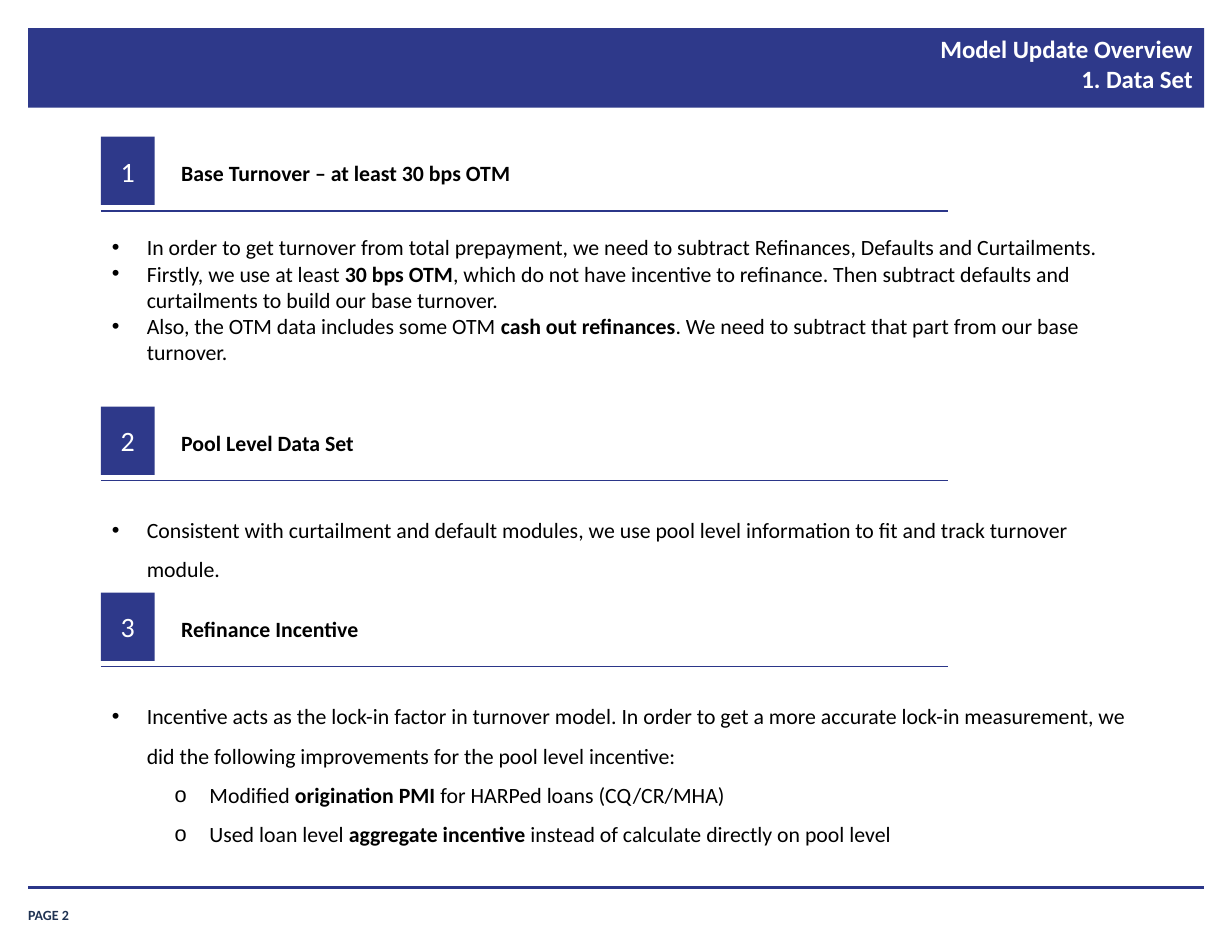
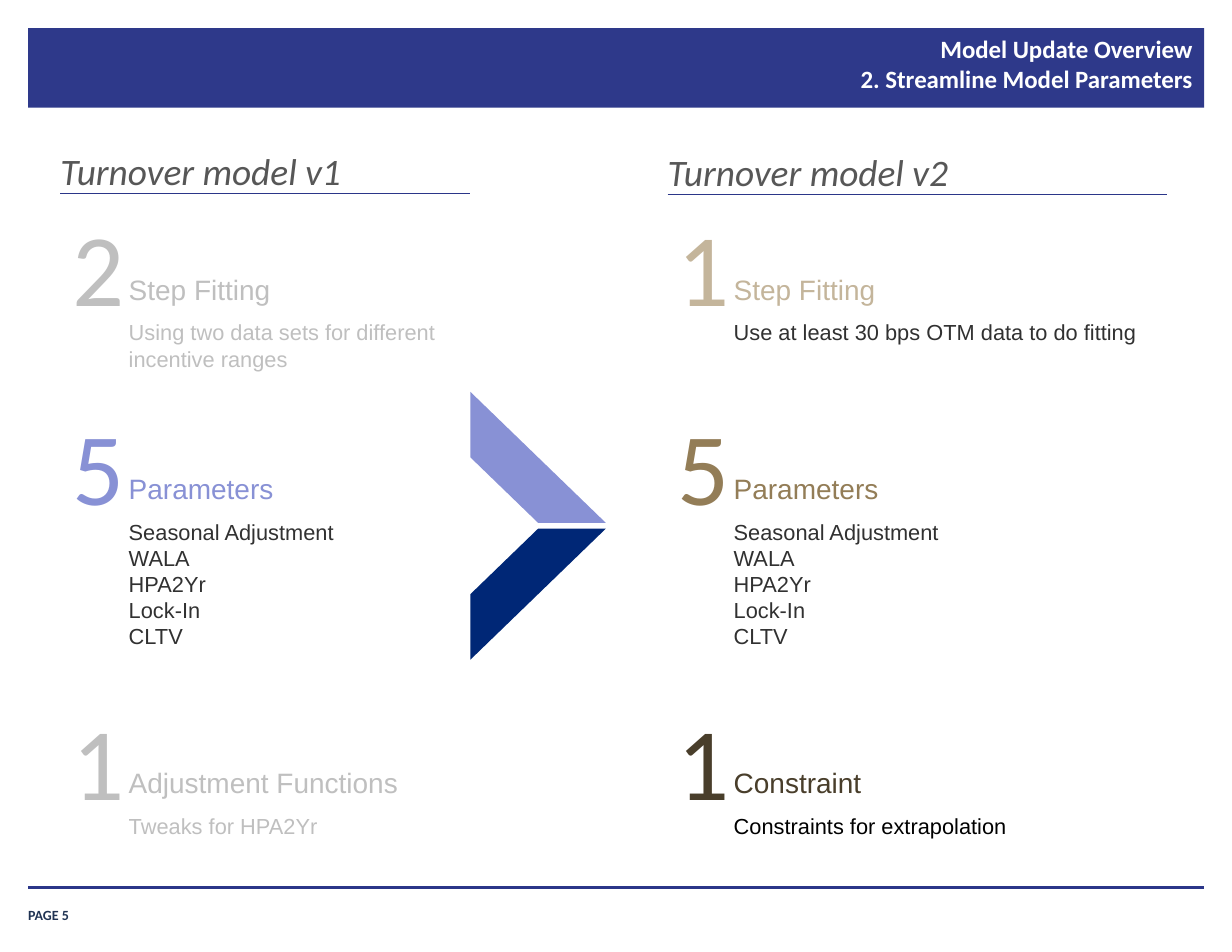
from dataclasses import dataclass

from lxml.etree import SubElement
from pptx import Presentation
from pptx.dml.color import RGBColor
from pptx.enum.shapes import MSO_CONNECTOR as Connector, MSO_SHAPE as Preset
from pptx.enum.text import MSO_ANCHOR as Anchor, PP_ALIGN as Align
from pptx.oxml.ns import qn
from pptx.shapes.autoshape import Shape
from pptx.slide import Slide
from pptx.util import Cm, Pt


@dataclass(frozen=True)
class Theme:
    band: str = "2E398A"
    rule: str = "2B3689"
    footer: str = "203353"
    white: str = "FFFFFF"
    black: str = "000000"
    heading: str = "575757"
    body: str = "313131"
    faded: str = "BFBFBF"
    periwinkle: str = "8891D5"
    navy: str = "002776"
    sand: str = "C4B59B"
    bronze: str = "937D57"
    umber: str = "493E2B"
    footer_size: int = 9
    body_size: int = 14
    title_size: int = 16
    label_size: int = 18
    heading_size: int = 24
    number_size: int = 66
    main_font: str = "Calibri"
    detail_font: str = "Arial"


THEME = Theme()


@dataclass(frozen=True)
class Style:
    size: int
    color: str
    font: str = THEME.main_font
    bold: bool = False
    italic: bool = False


@dataclass(frozen=True)
class Area:
    """Left, top, width and height in centimetres."""
    left: float
    top: float
    width: float
    height: float

    def lengths(self) -> list[Cm]:
        return [Cm(n) for n in (self.left, self.top, self.width, self.height)]


@dataclass(frozen=True)
class Bullet:
    text: str
    level: int = 0


@dataclass(frozen=True)
class Section:
    top: float
    label: str
    bullets: list[Bullet]
    body_height: float
    line_spacing: float = 1.5


@dataclass(frozen=True)
class Block:
    number: str
    label: str
    details: list[str]
    color: str
    detail_color: str = THEME.body
    label_width: float = 5.03
    detail_width: float = 7.52
    line_count: int = 1


@dataclass(frozen=True)
class Column:
    heading: str
    heading_left: float
    heading_top: float
    rule_right: float
    block_left: float
    blocks: list[Block]


SECTIONS = [
    Section(3.1, "Base Turnover – at least 30 bps OTM", [
        Bullet("In order to get turnover from total prepayment, we need to subtract "
               "Refinances, Defaults and Curtailments."),
        Bullet("Firstly, we use at least **30 bps OTM**, which do not have incentive to "
               "refinance. Then subtract defaults and curtailments to build our base turnover."),
        Bullet("Also, the OTM data includes some OTM **cash out refinances**. We need to "
               "subtract that part from our base turnover."),
    ], 3.25, 1.0),
    Section(9.22, "Pool Level Data Set", [
        Bullet("Consistent with curtailment and default modules, we use pool level "
               "information to fit and track turnover module."),
    ], 1.96),
    Section(13.44, "Refinance Incentive", [
        Bullet("Incentive acts as the lock-in factor in turnover model. In order to get a more "
               "accurate lock-in measurement, we did the following improvements for the pool "
               "level incentive:"),
        Bullet("Modified **origination PMI **for HARPed loans (CQ/CR/MHA)", 1),
        Bullet("Used loan level **aggregate incentive** instead of calculate directly "
               "on pool level", 1),
    ], 3.84),
]

PARAMETERS = ["Seasonal Adjustment", "WALA", "HPA2Yr", "Lock-In", "CLTV"]
BLOCK_TOPS = [4.62, 9.14, 15.82]
COLUMNS = [
    Column("Turnover model v1", 1.37, 3.35, 10.67, 1.65, [
        Block("2", "Step Fitting", ["Using two data sets for different incentive ranges"],
              THEME.faded, THEME.faded, line_count=2),
        Block("5", "Parameters", PARAMETERS, THEME.periwinkle, line_count=5),
        Block("1", "Adjustment Functions", ["Tweaks for HPA2Yr"],
              THEME.faded, THEME.faded, label_width=7.52),
    ]),
    Column("Turnover model v2", 15.14, 3.38, 26.47, 15.37, [
        Block("1", "Step Fitting", ["Use at least 30 bps OTM data to do fitting"],
              THEME.sand, detail_width=10.08),
        Block("5", "Parameters", PARAMETERS, THEME.bronze, line_count=5),
        Block("1", "Constraint", ["Constraints for extrapolation"],
              THEME.umber, THEME.black, label_width=7.52),
    ]),
]


def write(shape: Shape, lines: list[str], style: Style, align: Align = Align.LEFT,
          anchor: Anchor = Anchor.TOP) -> None:
    """Fill a shape with one paragraph per line; ** switches bold on and off."""
    frame = shape.text_frame
    frame.word_wrap = True
    frame.vertical_anchor = anchor
    for index, line in enumerate(lines):
        para = frame.add_paragraph() if index else frame.paragraphs[0]
        para.alignment = align
        for part, words in enumerate(line.split("**")):
            span = para.add_run()
            span.text = words
            span.font.name = style.font
            span.font.size = Pt(style.size)
            span.font.bold = style.bold or part % 2 == 1
            span.font.italic = style.italic
            span.font.color.rgb = RGBColor.from_string(style.color)


def add_text(page: Slide, area: Area, lines: list[str], style: Style,
             align: Align = Align.LEFT, anchor: Anchor = Anchor.TOP,
             inset: tuple[float, float] = (0.25, 0.13)) -> Shape:
    box = page.shapes.add_textbox(*area.lengths())
    frame = box.text_frame
    frame.margin_left = frame.margin_right = Cm(inset[0])
    frame.margin_top = frame.margin_bottom = Cm(inset[1])
    write(box, lines, style, align, anchor)
    return box


def add_filled(page: Slide, preset: Preset, area: Area, color: str) -> Shape:
    shape = page.shapes.add_shape(preset, *area.lengths())
    shape.shadow.inherit = False
    shape.fill.solid()
    shape.fill.fore_color.rgb = RGBColor.from_string(color)
    shape.line.fill.background()
    return shape


def add_rule(page: Slide, left: float, right: float, top: float, weight: float) -> None:
    rule = page.shapes.add_connector(Connector.STRAIGHT, Cm(left), Cm(top), Cm(right), Cm(top))
    rule.line.color.rgb = RGBColor.from_string(THEME.rule)
    rule.line.width = Pt(weight)
    SubElement(rule._element.spPr, qn("a:effectLst"))


def add_bullets(box: Shape, section: Section) -> None:
    for para, bullet in zip(box.text_frame.paragraphs, section.bullets):
        para.level = bullet.level
        para.line_spacing = section.line_spacing
        properties = para._p.get_or_add_pPr()
        properties.set("marL", str(Cm((0.79, 2.21)[bullet.level])))
        properties.set("indent", str(-Cm(0.79)))
        SubElement(properties, qn("a:buFont"), typeface=THEME.detail_font)
        SubElement(properties, qn("a:buChar"), char="•o"[bullet.level])


def add_page(deck: Presentation, subtitle: str, number: int) -> Slide:
    """Add a blank slide with the title band, footer rule and page number."""
    page = deck.slides.add_slide(deck.slide_layouts[6])
    add_filled(page, Preset.RECTANGLE, Area(0.64, 0.64, 26.67, 1.8), THEME.band)
    add_text(page, Area(0.64, 20.37, 2.31, 0.58), [f"PAGE {number}"],
             Style(THEME.footer_size, THEME.footer, bold=True),
             anchor=Anchor.BOTTOM, inset=(0, 0))
    add_rule(page, 0.64, 27.31, 20.12, 2)
    add_text(page, Area(8.43, 0.61, 18.9, 1.88), ["Model Update Overview", subtitle],
             Style(THEME.title_size, THEME.white, bold=True), Align.RIGHT, inset=(0.28, 0.15))
    return page


def add_section(page: Slide, number: int, section: Section) -> None:
    left, top = 2.29, section.top
    badge = add_filled(page, Preset.RECTANGLE, Area(left, top, 1.22, 1.55), THEME.band)
    write(badge, [str(number)], Style(THEME.label_size, THEME.white),
          Align.CENTER, Anchor.MIDDLE)
    add_rule(page, left, 21.49, top + 1.68, 1)
    add_text(page, Area(3.86, top + 0.4, 11.3, 0.86), [section.label],
             Style(THEME.body_size, THEME.black, bold=True))
    body = add_text(page, Area(left, top + 2.08, 23.75, section.body_height),
                    [bullet.text for bullet in section.bullets],
                    Style(THEME.body_size, THEME.black))
    add_bullets(body, section)


def add_block(page: Slide, left: float, top: float, block: Block) -> None:
    """Add a large number with its label and detail lines to the right."""
    number_width = 1.02
    text_left = left + number_width
    add_text(page, Area(left, top, number_width, 2.82), [block.number],
             Style(THEME.number_size, block.color), Align.CENTER, inset=(0, 0))
    add_text(page, Area(text_left, top + 1.42, block.label_width, 1.02), [block.label],
             Style(THEME.label_size, block.color, THEME.detail_font))
    detail_height = 0.26 + 0.6 * block.line_count
    add_text(page, Area(text_left, top + 2.49, block.detail_width, detail_height),
             block.details, Style(THEME.body_size, block.detail_color, THEME.detail_font))


def add_column(page: Slide, column: Column) -> None:
    add_text(page, Area(column.heading_left, column.heading_top, 14.12, 1.02),
             [column.heading], Style(THEME.heading_size, THEME.heading, italic=True),
             inset=(0, 0))
    add_rule(page, column.heading_left, column.rule_right, column.heading_top + 1.04, 0.75)
    for top, block in zip(BLOCK_TOPS, column.blocks):
        add_block(page, column.block_left, top, block)


def add_chevron(page: Slide) -> None:
    """Add the two mirrored stripes that point from the first model to the second."""
    add_filled(page, Preset.DIAGONAL_STRIPE, Area(10.67, 11.99, 3.07, 2.97), THEME.navy)
    upper = add_filled(page, Preset.DIAGONAL_STRIPE, Area(10.67, 8.89, 3.07, 2.97),
                       THEME.periwinkle)
    upper._element.spPr.find(qn("a:xfrm")).set("flipV", "1")


def main() -> None:
    deck = Presentation()
    deck.slide_width, deck.slide_height = Cm(27.94), Cm(21.59)

    data_page = add_page(deck, "1. Data Set", 2)
    for number, section in enumerate(SECTIONS, start=1):
        add_section(data_page, number, section)

    model_page = add_page(deck, "2. Streamline Model Parameters", 5)
    add_chevron(model_page)
    for column in COLUMNS:
        add_column(model_page, column)

    deck.save("out.pptx")


if __name__ == "__main__":
    main()
